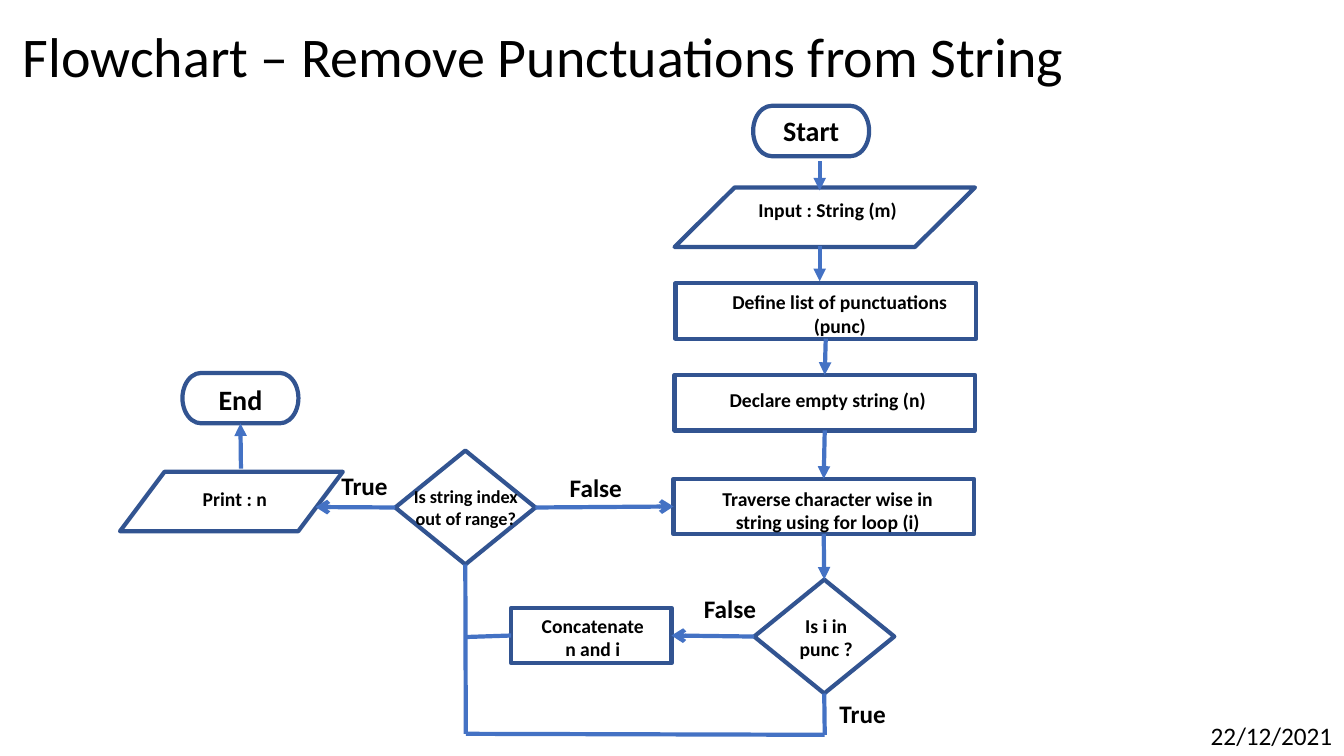
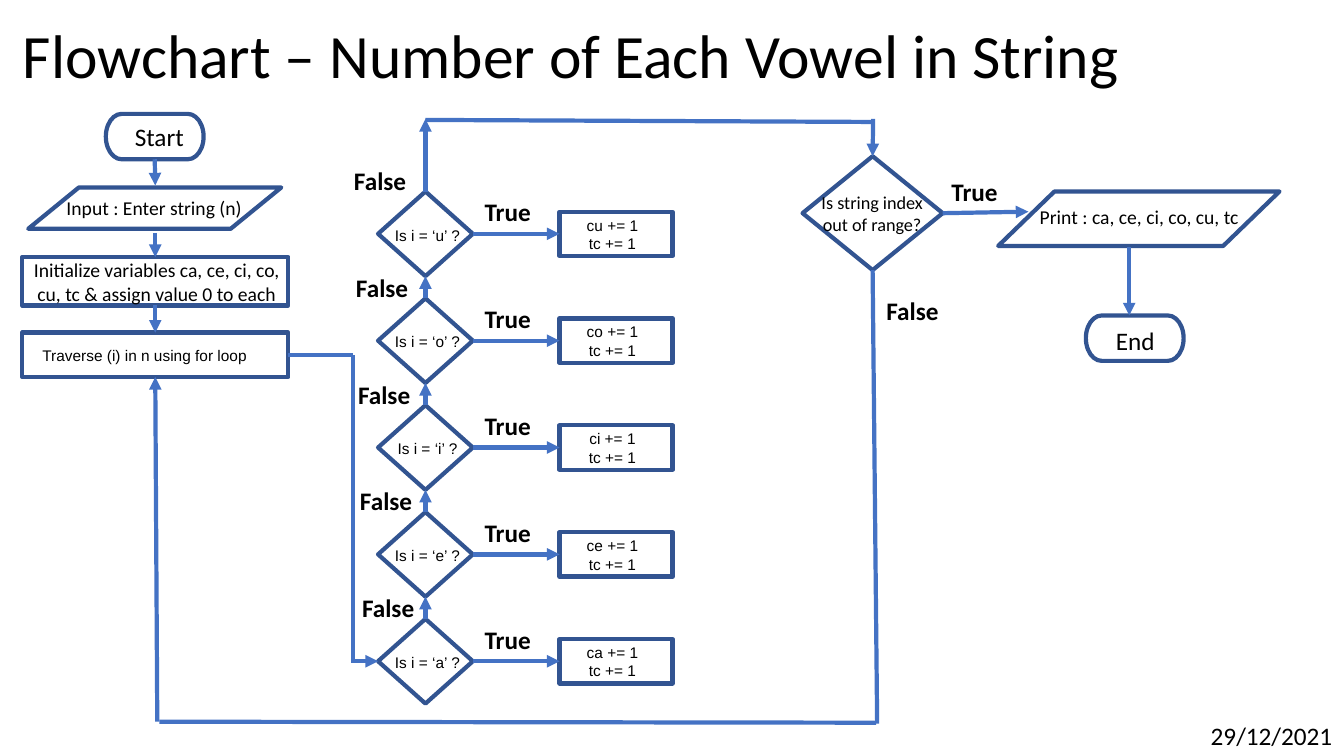
from math import dist

from lxml.etree import SubElement
from pptx import Presentation
from pptx.dml.color import RGBColor
from pptx.enum.shapes import MSO_CONNECTOR, MSO_SHAPE
from pptx.enum.text import MSO_ANCHOR, MSO_AUTO_SIZE, PP_ALIGN
from pptx.oxml.ns import qn
from pptx.util import Inches, Pt

COLORS = {"text": "000000", "outline": "325491", "arrow": "4472C4"}
LINE_WIDTH = Pt(3)
SNAP = 0.052  # a line this close to the middle of a side is joined to it

STYLES = {
    "title": {"name": "Calibri", "size": Pt(40), "bold": False},
    "big title": {"name": "Calibri", "size": Pt(44), "bold": False},
    "date": {"name": "Calibri", "size": Pt(18), "bold": False},
    "terminal": {"name": "Calibri", "size": Pt(20), "bold": True},
    "step": {"name": "Calibri", "size": Pt(14), "bold": True},
    "question": {"name": "Calibri", "size": Pt(13), "bold": True},
    "branch": {"name": "Calibri", "size": Pt(18), "bold": True},
    "plain terminal": {"name": "Calibri", "size": Pt(18), "bold": False},
    "plain step": {"name": "Calibri", "size": Pt(14), "bold": False},
    "plain question": {"name": "Calibri", "size": Pt(13), "bold": False},
    "small": {"name": "Arial", "size": Pt(11), "bold": False},
}
TERMINAL = MSO_SHAPE.FLOWCHART_TERMINATOR
DATA = MSO_SHAPE.FLOWCHART_DATA
PROCESS = MSO_SHAPE.FLOWCHART_PROCESS
DECISION = MSO_SHAPE.FLOWCHART_DECISION


def add_text(slide, text, style, left, top, width, height):
    """Add a centred text box; each line of the text is a paragraph."""
    box = slide.shapes.add_textbox(Inches(left), Inches(top), Inches(width), Inches(height))
    frame = box.text_frame
    frame.word_wrap = True
    frame.auto_size = MSO_AUTO_SIZE.SHAPE_TO_FIT_TEXT
    frame.text = text
    for paragraph in frame.paragraphs:
        paragraph.alignment = PP_ALIGN.CENTER
        for name, value in STYLES[style].items():
            setattr(paragraph.font, name, value)
        paragraph.font.color.rgb = RGBColor.from_string(COLORS["text"])
    return frame


def add_line(slide, sites, start, end, arrowhead):
    """Add a straight connector and join its ends to nearby sites."""
    connector = slide.shapes.add_connector(
        MSO_CONNECTOR.STRAIGHT, *[Inches(value) for value in (*start, *end)])
    connector.line.color.rgb = RGBColor.from_string(COLORS["arrow"])
    connector.line.width = LINE_WIDTH
    properties = connector._element.spPr
    if arrowhead:
        SubElement(properties.find(qn("a:ln")), qn("a:tailEnd"), type=arrowhead)
    SubElement(properties, qn("a:effectLst"))
    for point, connect in ((start, connector.begin_connect), (end, connector.end_connect)):
        for shape, index, site in sites:
            if dist(point, site) < SNAP:
                connect(shape, index)
                break


# Flowchart 1: nodes, labels and lines
punctuation_chart = {
    "title": "Flowchart – Remove Punctuations from String",
    "title style": "title",
    "date": "22/12/2021",
    "nodes": [
        (TERMINAL, 7.47, 1.05, 1.15, 0.5),
        (DATA, 6.69, 1.86, 2.98, 0.59),
        (PROCESS, 6.7, 2.81, 2.98, 0.55),
        (PROCESS, 6.69, 3.72, 2.98, 0.55),
        (PROCESS, 6.68, 4.75, 2.98, 0.55),
        (DECISION, 7.48, 5.75, 1.39, 1.13),
        (PROCESS, 5.07, 6.03, 1.59, 0.55),
        (DECISION, 3.92, 4.47, 1.39, 1.13),
        (DATA, 1.19, 4.68, 2.21, 0.59),
        (TERMINAL, 1.81, 3.7, 1.15, 0.5),
    ],
    "labels": [
        ("Start", "terminal", 7.6, 1.08, 0.89, 0.44),
        ("Input : String (m)", "step", 7.16, 1.91, 2.1, 0.34),
        ("Define list of punctuations (punc)", "step", 7.13, 2.83, 2.4, 0.57),
        ("Declare empty string (n)", "step", 6.84, 3.8, 2.74, 0.34),
        ("Traverse character wise in string using for loop (i)", "step", 6.84, 4.78, 2.74, 0.57),
        ("Is i in\npunc ?", "step", 7.63, 6.04, 1.13, 0.57),
        ("Concatenate\nn and i", "step", 4.51, 6.04, 2.74, 0.57),
        ("Is string index\nout of range?", "question", 3.69, 4.77, 1.86, 0.54),
        ("Print : n", "step", 1.28, 4.78, 2.1, 0.34),
        ("End", "terminal", 1.94, 3.75, 0.89, 0.44),
        ("True", "branch", 8.21, 6.88, 0.69, 0.4),
        ("False", "branch", 6.82, 5.84, 0.84, 0.4),
        ("True", "branch", 3.27, 4.62, 0.69, 0.4),
        ("False", "branch", 5.49, 4.64, 0.84, 0.4),
    ],
    "lines": [
        ((8.13, 1.6), (8.13, 1.89), "triangle"),
        ((8.13, 2.44), (8.13, 2.79), "triangle"),
        ((8.18, 3.39), (8.18, 3.73), "triangle"),
        ((8.19, 4.31), (8.19, 4.74), "triangle"),
        ((8.18, 5.31), (8.18, 5.74), "triangle"),
        ((7.47, 6.31), (6.7, 6.32), "arrow"),
        ((8.18, 6.86), (8.18, 7.29), None),
        ((4.62, 7.28), (8.18, 7.29), None),
        ((4.62, 6.32), (5.07, 6.32), None),
        ((4.62, 5.56), (4.62, 7.28), None),
        ((3.91, 5.03), (3.13, 5.03), "arrow"),
        ((5.33, 5.04), (6.67, 5.04), "arrow"),
        ((2.39, 4.65), (2.39, 4.22), "triangle"),
    ],
}

# Flowchart 2: everything but the vowel rows
vowel_chart = {
    "title": "Flowchart – Number of Each Vowel in String",
    "title style": "big title",
    "date": "29/12/2021",
    "nodes": [
        (TERMINAL, 1.05, 1.13, 0.97, 0.45),
        (DATA, 0.28, 1.86, 2.51, 0.41),
        (PROCESS, 0.22, 2.55, 2.64, 0.48),
        (PROCESS, 0.22, 3.3, 2.64, 0.44),
        (DECISION, 7.96, 1.55, 1.39, 1.13),
        (DATA, 9.9, 1.9, 2.79, 0.54),
        (TERMINAL, 10.77, 3.13, 0.97, 0.45),
    ],
    "labels": [
        ("Start", "plain terminal", 1.14, 1.15, 0.88, 0.4),
        ("Input : Enter string (n)", "plain step", 0.25, 1.89, 2.56, 0.34),
        ("Initialize variables ca, ce, ci, co, cu, tc & assign value 0 to each",
         "plain step", 0.13, 2.51, 2.85, 0.57),
        ("Traverse (i) in n using for loop", "small", 0.23, 3.38, 2.41, 0.29),
        ("Is string index\nout of range?", "plain question", 7.72, 1.85, 1.86, 0.54),
        ("Print : ca, ce, ci, co, cu, tc", "plain step", 10.02, 1.98, 2.56, 0.34),
        ("End", "plain terminal", 10.82, 3.18, 0.88, 0.4),
        ("True", "branch", 9.32, 1.7, 0.69, 0.4),
        ("False", "branch", 8.63, 2.88, 0.84, 0.4),
    ],
    "lines": [
        ((1.54, 1.61), (1.54, 1.84), "triangle"),
        ((1.54, 2.31), (1.54, 2.54), "triangle"),
        ((1.54, 3.07), (1.54, 3.3), "triangle"),
        ((2.85, 3.52), (3.5, 3.52), None),
        ((3.5, 6.56), (3.5, 3.52), None),
        ((3.48, 6.56), (3.75, 6.56), "triangle"),
        ((4.22, 1.19), (8.66, 1.21), None),
        ((8.66, 1.18), (8.66, 1.54), "triangle"),
        ((9.35, 2.1), (10.2, 2.1), "triangle"),
        ((11.2, 2.45), (11.2, 3.13), "triangle"),
        ((8.7, 7.18), (8.68, 2.67), None),
        ((1.58, 7.16), (8.69, 7.17), None),
        ((1.56, 7.16), (1.55, 3.74), "triangle"),
    ],
}

# Vowel rows: a test, its counter and the way up to the next test
for row, vowel in enumerate("uoiea"):
    top = 1.9 + 1.06 * row
    middle = top + 0.42
    vowel_chart["nodes"] += [
        (DECISION, 3.75, top, 0.94, 0.84),
        (PROCESS, 5.55, top + 0.2, 1.12, 0.44),
    ]
    vowel_chart["labels"] += [
        (f"Is i = ‘{vowel}’ ?", "small", 3.78, top + 0.29, 0.92, 0.29),
        (f"c{vowel} += 1\ntc += 1", "small", 5.57, top + 0.19, 1.01, 0.47),
        ("True", "branch", 4.69, top, 0.69, 0.4),
        ("False", "branch", 3.35 + 0.02 * row, top - 0.31, 0.84, 0.4),
    ]
    vowel_chart["lines"] += [
        ((4.69, middle), (5.55, middle), "triangle"),
        ((4.22, top), (4.22, top - 0.22 if row else 1.18), "triangle"),
    ]

presentation = Presentation()
presentation.slide_width = Inches(13.33)
presentation.slide_height = Inches(7.5)

for chart in (punctuation_chart, vowel_chart):
    slide = presentation.slides.add_slide(presentation.slide_layouts[6])

    # Title and date
    title = add_text(slide, chart["title"], chart["title style"], 0.13, -0.14, 11.5, 1.45)
    title.auto_size = MSO_AUTO_SIZE.NONE
    title.vertical_anchor = MSO_ANCHOR.MIDDLE
    title.paragraphs[0].line_spacing = 0.9
    date = add_text(slide, chart["date"], "date", 11.91, 7.1, 1.42, 0.4)
    date.word_wrap = False
    for frame in (title, date):
        frame.paragraphs[0].alignment = PP_ALIGN.LEFT

    # Nodes, with the middles of their sides as connection sites
    sites = []
    for kind, left, top, width, height in chart["nodes"]:
        shape = slide.shapes.add_shape(
            kind, Inches(left), Inches(top), Inches(width), Inches(height))
        shape.shadow.inherit = False
        shape.fill.background()
        shape.line.color.rgb = RGBColor.from_string(COLORS["outline"])
        shape.line.width = LINE_WIDTH
        if kind != DATA:
            center, middle = left + width / 2, top + height / 2
            sides = [(center, top), (left, middle), (center, top + height), (left + width, middle)]
            sites += [(shape, index, side) for index, side in enumerate(sides)]

    # Lines and labels
    for start, end, arrowhead in chart["lines"]:
        add_line(slide, sites, start, end, arrowhead)
    for label in chart["labels"]:
        add_text(slide, *label)

presentation.save("out.pptx")
